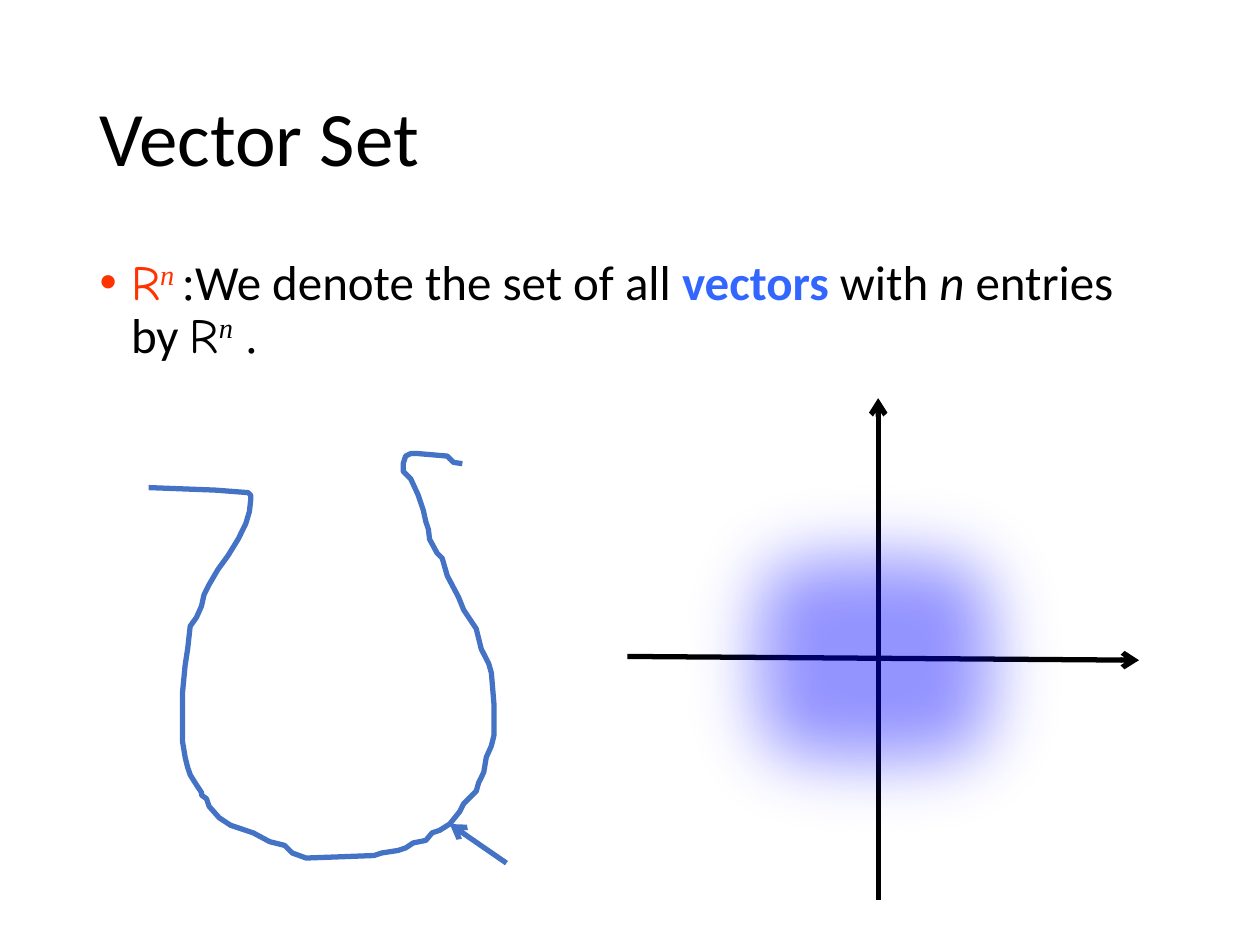
from lxml import etree
from pptx import Presentation
from pptx.dml.color import RGBColor
from pptx.enum.shapes import MSO_CONNECTOR, MSO_SHAPE
from pptx.enum.text import MSO_ANCHOR, MSO_AUTO_SIZE, PP_ALIGN
from pptx.oxml.ns import qn
from pptx.util import Inches, Pt

LINE = MSO_CONNECTOR.STRAIGHT
RECT = MSO_SHAPE.RECTANGLE
MIDDLE = MSO_ANCHOR.MIDDLE
NO_FIT = MSO_AUTO_SIZE.NONE
LEFT = PP_ALIGN.LEFT

COLORS = {
    "black": "000000",
    "red": "FF3300",
    "sky": "3366FF",
    "curve": "4472C4",
    "plane": "0000FF",
}
SANS, HAND, SERIF = "Calibri", "Comic Neue", "Times New Roman"

# text, font, colour, style: b = bold, i = italic, s = superscript
BODY = [
    ("R", HAND, "red", ""),
    ("n ", SERIF, "red", "is"),
    (":", SERIF, "black", ""),
    ("We denote the set of all ", SANS, "black", ""),
    ("vectors", SANS, "sky", "b"),
    (" with ", SANS, "black", ""),
    ("n", SANS, "black", "i"),
    (" entries by ", SANS, "black", ""),
    ("R", HAND, "black", ""),
    ("n", SERIF, "black", "is"),
    (" .", SERIF, "black", ""),
]

# outline of the hand-drawn set, in inches from the corner of its box
OUTLINE = [
    (0, .27), (.27, .28), (.53, .29), (.79, .31), (.81, .33), (.81, .37),
    (.8, .46), (.77, .56), (.71, .68), (.63, .81), (.55, .92), (.48, 1.04),
    (.44, 1.12), (.42, 1.21), (.38, 1.3), (.33, 1.37), (.31, 1.55),
    (.29, 1.68), (.27, 1.89), (.27, 2.29), (.29, 2.41), (.31, 2.49),
    (.33, 2.55), (.38, 2.63), (.42, 2.69), (.42, 2.71), (.46, 2.74),
    (.48, 2.8), (.56, 2.89), (.65, 2.95), (.77, 2.99), (.83, 3.01),
    (.96, 3.08), (1.08, 3.11), (1.14, 3.17), (1.25, 3.21), (1.53, 3.2),
    (1.79, 3.19), (1.85, 3.17), (1.98, 3.15), (2.04, 3.13), (2.1, 3.09),
    (2.2, 3.07), (2.25, 3.01), (2.31, 2.99), (2.39, 2.94), (2.47, 2.84),
    (2.5, 2.78), (2.6, 2.68), (2.62, 2.61), (2.66, 2.53), (2.68, 2.41),
    (2.72, 2.32), (2.74, 2.24), (2.74, 1.98), (2.72, 1.74), (2.7, 1.67),
    (2.64, 1.55), (2.6, 1.39), (2.5, 1.24), (2.46, 1.14), (2.37, .97),
    (2.33, .83), (2.29, .79), (2.23, .68), (2.22, .6), (2.2, .54),
    (2.18, .45), (2.14, .33), (2.08, .2), (2.02, .14), (2.02, .08),
    (2.04, .02), (2.08, 0), (2.14, 0), (2.37, .02), (2.42, .07), (2.49, .08),
]


def color(name):
    return RGBColor.from_string(COLORS[name])


def place(shape, box):
    shape.left, shape.top, shape.width, shape.height = map(Inches, box)


def add_run(para, text, font, size, tint, style=""):
    run = para.add_run()
    run.text = text
    run.font.name = font
    run.font.size = Pt(size)
    run.font.color.rgb = color(tint)
    run.font.bold = "b" in style
    run.font.italic = "i" in style
    if "s" in style:
        run.font._element.set("baseline", "30000")


def fill_title(shape, box):
    place(shape, box)
    frame = shape.text_frame
    frame.auto_size = NO_FIT
    frame.vertical_anchor = MIDDLE
    para = frame.paragraphs[0]
    para.alignment = LEFT
    para.line_spacing = 0.9
    add_run(para, "Vector Set", SANS, 44, "black")


def fill_body(shape, box):
    place(shape, box)
    frame = shape.text_frame
    frame.auto_size = NO_FIT
    para = frame.paragraphs[0]
    para.line_spacing = 0.9
    para.space_before = Pt(0)
    props = para._p.get_or_add_pPr()
    props.set("marL", str(Inches(0.25)))
    props.set("indent", str(-Inches(0.25)))
    etree.SubElement(props, qn("a:buFont")).set("typeface", "Arial")
    etree.SubElement(props, qn("a:buChar")).set("char", "•")
    for text, font, tint, style in BODY:
        add_run(para, text, font, 28, tint, style)


def add_arrow(slide, start, end, tint):
    arrow = slide.shapes.add_connector(LINE, *map(Inches, start + end))
    arrow.line.width = Pt(3)
    arrow.line.color.rgb = color(tint)
    tip = etree.SubElement(arrow.line._get_or_add_ln(), qn("a:tailEnd"))
    tip.set("type", "arrow")
    etree.SubElement(arrow._element.spPr, qn("a:effectLst"))


def draw_set(slide, box):
    """Draw the open curve and the arrow that points at it."""
    left, top = box[:2]
    points = [(Inches(left + x), Inches(top + y)) for x, y in OUTLINE]
    pen = slide.shapes.build_freeform(*points[0])
    pen.add_line_segments(points[1:], close=False)
    curve = pen.convert_to_shape()
    curve.shadow.inherit = False
    curve.fill.background()
    curve.line.width = Pt(3)
    curve.line.color.rgb = color("curve")
    add_arrow(slide, (left + 2.84, top + 3.25), (left + 2.39, top + 2.94),
              "curve")


def draw_plane(slide, box):
    """Draw two axes under a soft-edged, see-through square."""
    left, top, wide, high = box
    mid = left + 1.99
    add_arrow(slide, (left, top + 2.05), (left + wide, top + 2.08), "black")
    add_arrow(slide, (mid, top + high), (mid, top), "black")

    area = slide.shapes.add_shape(
        RECT, *map(Inches, (left + 0.11, top + 0.34, 3.7, 3.45)))
    area.fill.solid()
    area.fill.fore_color.rgb = color("plane")
    tone = area.fill._xPr.find(".//" + qn("a:srgbClr"))
    etree.SubElement(tone, qn("a:alpha")).set("val", "42000")
    area.line.width = Pt(0.5)
    area.line.color.rgb = color("sky")
    area.shadow.inherit = False
    effects = area._element.spPr.find(qn("a:effectLst"))
    etree.SubElement(effects, qn("a:softEdge")).set("rad", str(Pt(50)))


def main():
    deck = Presentation()
    deck.slide_width, deck.slide_height = Inches(10), Inches(7.5)
    slide = deck.slides.add_slide(deck.slide_layouts[1])
    fill_title(slide.shapes.title, (0.69, 0.4, 8.62, 1.45))
    fill_body(slide.placeholders[1], (0.69, 2, 8.62, 4.76))
    draw_set(slide, (1.18, 3.6, 2.74, 3.2))
    draw_plane(slide, (4.98, 3.16, 4.06, 3.98))
    deck.save("out.pptx")


if __name__ == "__main__":
    main()
